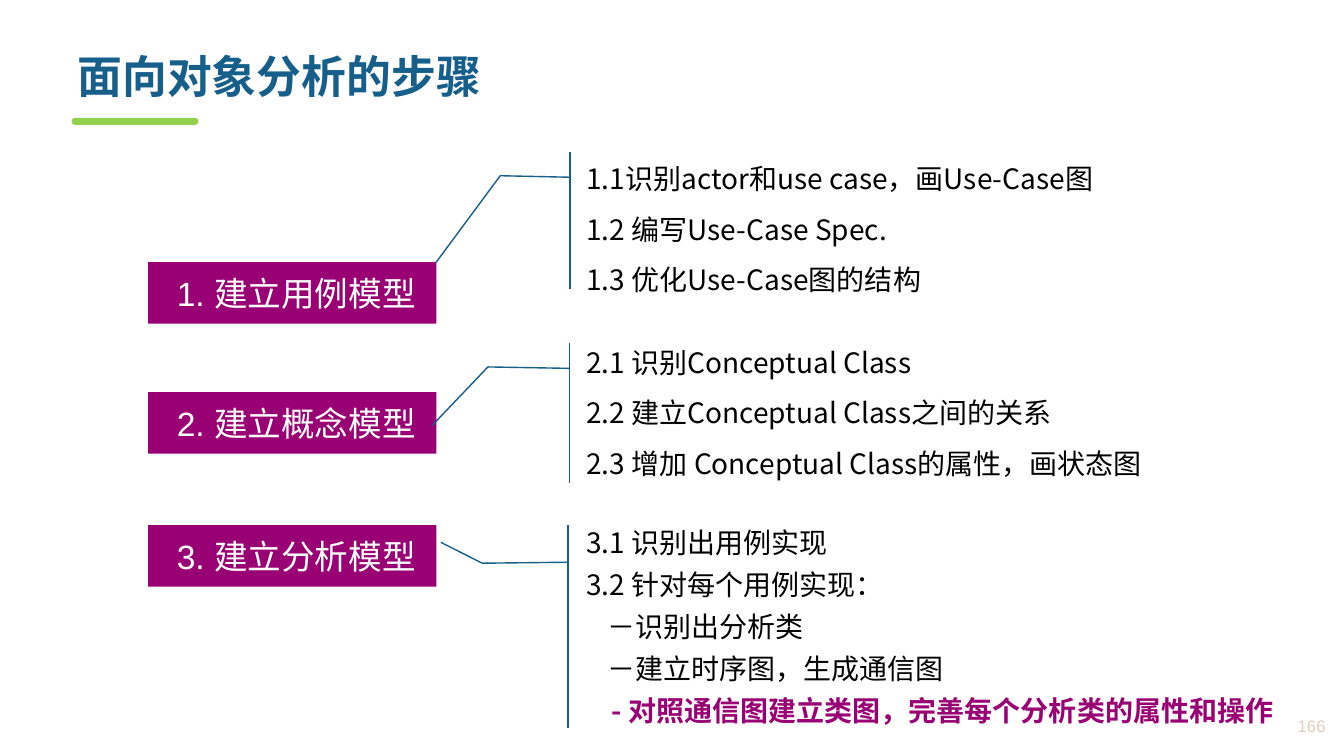
from dataclasses import dataclass

from lxml import etree
from pptx import Presentation
from pptx.dml.color import RGBColor
from pptx.enum.shapes import MSO_SHAPE
from pptx.enum.text import MSO_ANCHOR, PP_ALIGN
from pptx.oxml.ns import qn
from pptx.util import Pt

RECT = MSO_SHAPE.RECTANGLE
ROUND_TOP = MSO_SHAPE.ROUND_2_SAME_RECTANGLE
CALLOUT = MSO_SHAPE.LINE_CALLOUT_2_ACCENT_BAR
MIDDLE = MSO_ANCHOR.MIDDLE
LEFT, RIGHT = PP_ALIGN.LEFT, PP_ALIGN.RIGHT


@dataclass(frozen=True)
class Theme:
    blue = RGBColor(0x17, 0x5F, 0x8B)
    green = RGBColor(0x92, 0xD0, 0x50)
    purple = RGBColor(0x99, 0x00, 0x74)
    black = RGBColor(0, 0, 0)
    white = RGBColor(255, 255, 255)
    beige = RGBColor(0xE0, 0xCF, 0xBD)
    cjk = "Noto Sans CJK SC"
    latin = "Arial"
    title, step, detail, number = Pt(32), Pt(24), Pt(20), Pt(12)


def style(r, size, color, font=Theme.cjk, bold=False):
    r.font.size, r.font.bold, r.font.name = size, bold, font
    r.font.color.rgb = color
    ea = etree.SubElement(r._r.get_or_add_rPr(), qn("a:ea"))
    ea.set("typeface", Theme.cjk)


def add_box(kind, left, top, width, height, fill=None):
    sp = slide.shapes.add_shape(kind, Pt(left), Pt(top), Pt(width), Pt(height))
    sp.shadow.inherit = False
    if fill is None:
        sp.fill.background()
    else:
        sp.fill.solid()
        sp.fill.fore_color.rgb = fill
        sp.line.fill.background()
    sp.text_frame.word_wrap = True
    sp.text_frame.vertical_anchor = MIDDLE
    return sp


prs = Presentation()
prs.slide_width, prs.slide_height = Pt(960), Pt(540)
slide = prs.slides.add_slide(prs.slide_layouts[5])

# Title and its underline
title = slide.shapes.title
title.left, title.top, title.width, title.height = Pt(48.2), Pt(29.5), Pt(877.7), Pt(54)
tf = title.text_frame
tf.text = "面向对象分析的步骤"
tf.vertical_anchor = MIDDLE
p = tf.paragraphs[0]
p.alignment, p.line_spacing = LEFT, 0.9
style(p.runs[0], Theme.title, Theme.blue, bold=True)

underline = add_box(ROUND_TOP, 51.1, 84.2, 90.7, 5, Theme.green)
underline.adjustments[0] = underline.adjustments[1] = 0.5

# Steps
steps = [("1. 建立用例模型", 187.2), ("2. 建立概念模型", 280.1), ("3. 建立分析模型", 375.1)]
for text, top in steps:
    tf = add_box(RECT, 105.8, top, 205.9, 43.9, Theme.purple).text_frame
    tf.margin_left = Pt(20.5)
    tf.text = text
    tf.paragraphs[0].alignment = LEFT
    style(tf.paragraphs[0].runs[0], Theme.step, Theme.white, Theme.latin)

# Details: box, callout bends, space before, then lines of (text, line height, indent)
details = [
    ((411.8, 108.7, 412.6, 97.9), (0.183, -0.011, 0.172, -0.132, 0.804, -0.243), 0,
     [("1.1识别actor和use case，画Use-Case图", 36, 0),
      ("1.2 编写Use-Case Spec.", 36, 0),
      ("1.3 优化Use-Case图的结构", 36, 0)]),
    ((411.8, 244.8, 465.1, 100.1), (0.183, -0.011, 0.173, -0.136, 0.592, -0.222), 0,
     [("2.1 识别Conceptual Class", 24, 0),
      ("2.2 建立Conceptual Class之间的关系", 36, 0),
      ("2.3 增加 Conceptual Class的属性，画状态图", 36, 0)]),
    ((411.8, 375.1, 547.2, 144.7), (0.183, -0.011, 0.188, -0.123, 0.085, -0.177), 6,
     [("3.1 识别出用例实现", 24, 0),
      ("3.2 针对每个用例实现：", 24, 0),
      ("－识别出分析类", 24, 15),
      ("－建立时序图，生成通信图", 24, 15),
      ("- 对照通信图建立类图，完善每个分析类的属性和操作", 24, 18)]),
]
for box, bends, gap, lines in details:
    sp = add_box(CALLOUT, *box)
    sp.line.color.rgb, sp.line.width = Theme.blue, Pt(1)
    for i, bend in enumerate(bends):
        sp.adjustments[i] = bend
    tf = sp.text_frame
    for i, (text, height, indent) in enumerate(lines):
        p = tf.add_paragraph() if i else tf.paragraphs[0]
        p.text = text
        p.alignment, p.line_spacing = LEFT, Pt(height)
        p.space_before = Pt(gap if i else 0)
        p._p.get_or_add_pPr().set("marL", str(Pt(indent)))
        key = text.startswith("-")
        style(p.runs[0], Theme.detail, Theme.purple if key else Theme.black, bold=key)

# Slide number
sp = slide.shapes.add_textbox(Pt(872.6), Pt(504.7), Pt(81.4), Pt(27.4))
tf = sp.text_frame
tf.word_wrap, tf.vertical_anchor = True, MIDDLE
tf.text = "166"
tf.paragraphs[0].alignment = RIGHT
style(tf.paragraphs[0].runs[0], Theme.number, Theme.beige, Theme.latin)

prs.save("out.pptx")
